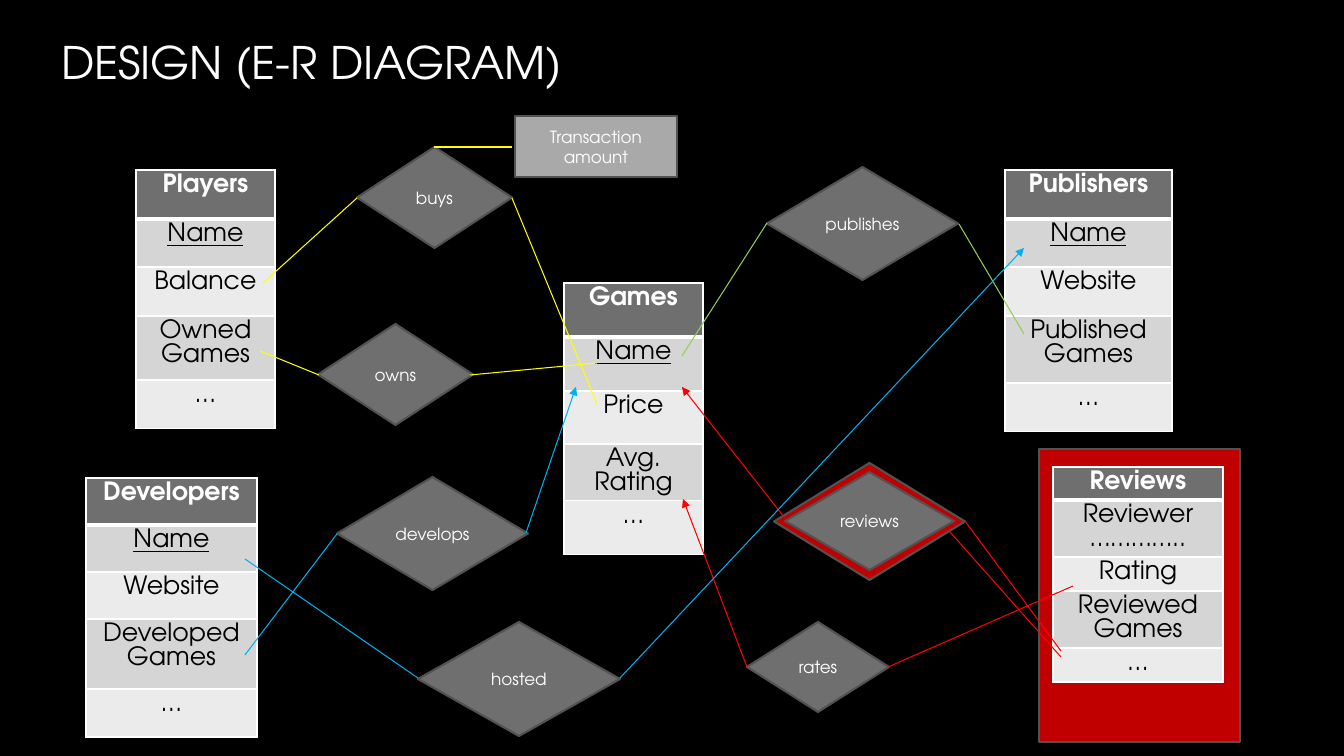
from lxml import etree
from pptx import Presentation
from pptx.dml.color import RGBColor as RGB
from pptx.enum.shapes import MSO_CONNECTOR as LINK, MSO_SHAPE as SHAPE
from pptx.enum.text import MSO_ANCHOR as ANCHOR, PP_ALIGN as ALIGN
from pptx.oxml import parse_xml
from pptx.oxml.ns import nsdecls, qn
from pptx.util import Pt

PX = 914400 / 100.8
FONT = "TeX Gyre Adventor"
HUES = {
    "black": "000000", "white": "FFFFFF", "grey": "6F6F6F", "edge": "525252",
    "odd": "D5D5D5", "even": "EBEBEB", "light": "A9A9A9", "crimson": "C00000",
    "red": "FF0000", "green": "92D050", "yellow": "FFFF00", "blue": "00B0F0",
}


def px(*nums):
    return [round(n * PX) for n in nums]


def style(frame, size, hue, align):
    for para in frame.paragraphs:
        para.alignment = align
        for run in para.runs:
            font = run.font
            font.name, font.size = FONT, Pt(size)
            font.color.rgb = RGB.from_string(HUES[hue])


deck = Presentation()
deck.slide_width, deck.slide_height = px(1344, 756)
slide = deck.slides.add_slide(deck.slide_layouts[5])
slide.background.fill.solid()
slide.background.fill.fore_color.rgb = RGB.from_string(HUES["black"])
shapes = slide.shapes

# Title
title = shapes.title
title.left, title.top, title.width, title.height = px(51, -43, 1092, 210)
title.text_frame.text = "DESIGN (E-R DIAGRAM)"
title.text_frame.vertical_anchor = ANCHOR.MIDDLE
style(title.text_frame, 32, "white", ALIGN.LEFT)

# Red panel, relation diamonds and the transaction box
RECT, GEM = SHAPE.RECTANGLE, SHAPE.DIAMOND
nodes = [
    (RECT, "", "crimson", 1039, 449, 201, 293),
    (GEM, "", "crimson", 774, 463, 191, 117),
    (GEM, "reviews", "grey", 785, 472, 169, 98),
    (GEM, "publishes", "grey", 767, 167, 191, 113),
    (GEM, "rates", "grey", 747, 622, 142, 90),
    (GEM, "buys", "grey", 357, 147, 155, 101),
    (GEM, "owns", "grey", 318, 324, 155, 101),
    (RECT, "Transaction amount", "light", 515, 116, 162, 61),
    (GEM, "develops", "grey", 337, 477, 191, 113),
    (GEM, "hosted", "grey", 418, 622, 202, 114),
]
for kind, text, hue, *place in nodes:
    node = shapes.add_shape(kind, *px(*place))
    node.shadow.inherit = False
    node.fill.solid()
    node.fill.fore_color.rgb = RGB.from_string(HUES[hue])
    node.line.color.rgb = RGB.from_string(HUES["edge"])
    node.line.width = Pt(1.5)
    frame = node.text_frame
    frame.text = text
    frame.word_wrap = True
    frame.vertical_anchor = ANCHOR.MIDDLE
    if kind == GEM:
        frame.margin_left = frame.margin_right = 0
    style(frame, 12, "white", ALIGN.CENTER)

# Entity tables: left, top, width, row heights, row texts
tables = [
    (564, 283, 139, [54, 54, 53, 57, 54],
     ["Games", "Name", "Price", "Avg. Rating", "…"]),
    (136, 170, 139, [49, 48, 49, 64, 49],
     ["Players", "Name", "Balance", "Owned Games", "…"]),
    (86, 478, 171, [47, 47, 47, 70, 48],
     ["Developers", "Name", "Website", "Developed Games", "…"]),
    (1005, 170, 167, [49, 48, 49, 67, 49],
     ["Publishers", "Name", "Website", "Published Games", "…"]),
    (1053, 467, 170, [33, 57, 34, 57, 34],
     ["Reviews", "Reviewer\n…………..", "Rating", "Reviewed Games", "…"]),
]
for left, top, width, rows, texts in tables:
    grid = shapes.add_table(len(rows), 1, *px(left, top, width, sum(rows))).table
    for i, (high, text) in enumerate(zip(rows, texts)):
        grid.rows[i].height = px(high)[0]
        cell = grid.cell(i, 0)
        cell.text = text
        cell.margin_left, cell.margin_right = px(7, 7)
        cell.margin_top, cell.margin_bottom = px(4, 4)
        cell.fill.solid()
        hue = "odd" if i % 2 else "even"
        cell.fill.fore_color.rgb = RGB.from_string(HUES[hue if i else "grey"])
        style(cell.text_frame, 18, "black" if i else "white", ALIGN.CENTER)
        for para in cell.text_frame.paragraphs:
            para.line_spacing = 1.0
            for run in para.runs:
                run.font.bold = i == 0
                run.font.underline = text == "Name"
        # White cell borders, thick under the header
        props = cell._tc.get_or_add_tcPr()
        for j, side in enumerate("LRTB"):
            thick = (i, side) in [(0, "B"), (1, "T")]
            props.insert(j, parse_xml(
                f'<a:ln{side} {nsdecls("a")} w="{Pt(3 if thick else 1)}"><a:solidFill>'
                f'<a:srgbClr val="{HUES["white"]}"/></a:solidFill></a:ln{side}>'))

# Links: colour, start, end, arrowhead
links = [
    ("red", 784, 517, 682, 387, True),
    ("red", 747, 667, 683, 499, True),
    ("green", 1024, 334, 959, 224, False),
    ("green", 682, 356, 767, 223, False),
    ("red", 965, 521, 1061, 651, False),
    ("red", 950, 532, 1061, 657, False),
    ("red", 888, 667, 1073, 586, False),
    ("yellow", 597, 404, 512, 198, False),
    ("yellow", 357, 198, 263, 283, False),
    ("yellow", 319, 375, 260, 351, False),
    ("yellow", 597, 363, 470, 375, False),
    ("yellow", 512, 147, 434, 147, False),
    ("blue", 337, 534, 245, 655, False),
    ("blue", 418, 678, 245, 559, False),
    ("blue", 620, 678, 1024, 248, True),
    ("blue", 526, 533, 576, 387, True),
]
for hue, *ends, arrow in links:
    link = shapes.add_connector(LINK.STRAIGHT, *px(*ends))
    link.line.color.rgb = RGB.from_string(HUES[hue])
    link.line.width = Pt(0.75)
    if arrow:
        etree.SubElement(link.line._get_or_add_ln(), qn("a:tailEnd"), type="triangle")
    etree.SubElement(link._element.spPr, qn("a:effectLst"))

deck.save("out.pptx")
